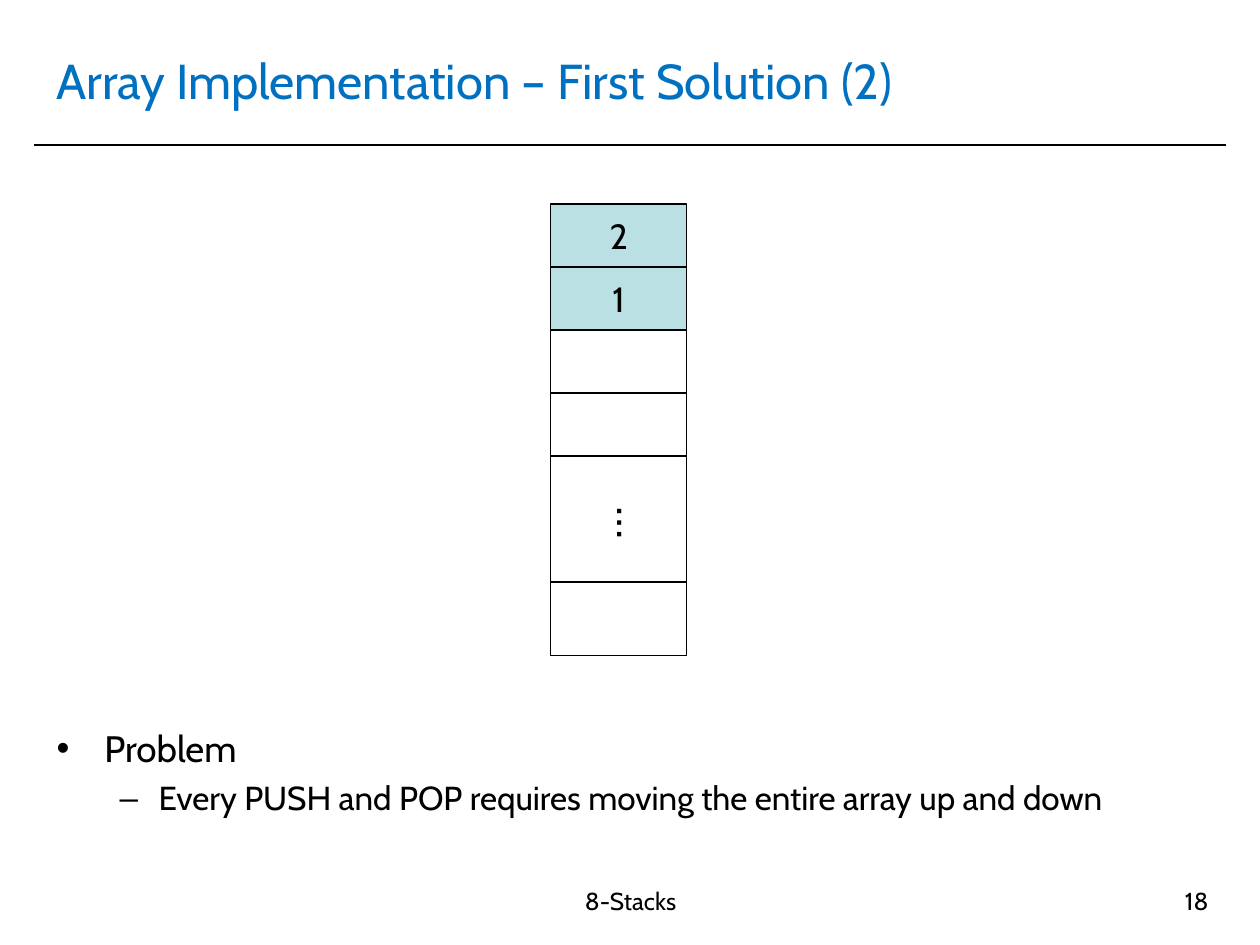
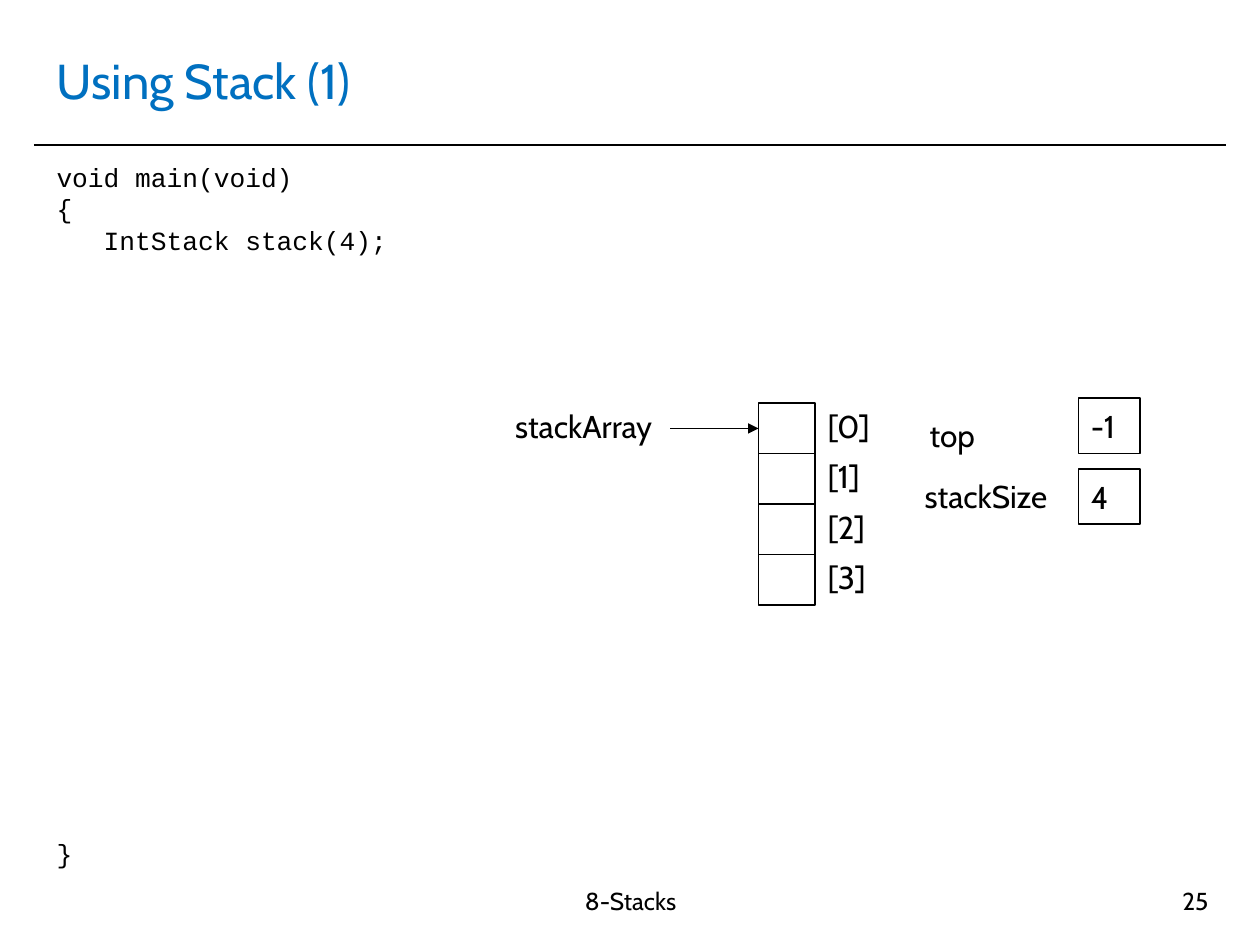
from pptx import Presentation
from pptx.dml.color import RGBColor
from pptx.enum.shapes import MSO_CONNECTOR as Conn, MSO_SHAPE as Shape
from pptx.enum.text import MSO_ANCHOR as Anchor, PP_ALIGN as Align
from pptx.oxml.ns import qn
from pptx.util import Inches, Pt
from lxml.etree import SubElement

SANS, MONO = "Cabin", "Courier New"
BLACK, WHITE, BLUE, TEAL = "000000", "FFFFFF", "0070C0", "BBE0E3"
FOOT = "8-Stacks"

HEADS = [("Array Implementation – First Solution (2)", "18"), ("Using Stack (1)", "25")]
CELLS = [("2", 0.5, TEAL), ("1", 0.5, TEAL), ("", 0.5, WHITE),
         ("", 0.5, None), ("", 1, None), ("", 0.58, None)]
POINTS = [("Problem", 21, "•", 0.38, 0.38),
          ("Every PUSH and POP requires moving the entire array up and down",
           19, "–", 0.81, 0.31)]
CODE = ["void main(void)", "{", "   IntStack stack(4);"]
SLOTS = ["[0]", "[1]", "[2]", "[3]"]
NAMES = [("stackArray", 3.99, 3.18, 1.5), ("top", 7.28, 3.25, 0.76),
         ("stackSize", 7.24, 3.74, 1.49)]
VALUES = ["-1", "4"]


def color(code):
    return RGBColor.from_string(code)


def write(para, text, size, font=SANS, ink=BLACK, align=Align.LEFT):
    para.alignment = align
    run = para.add_run()
    run.text = text
    run.font.size = Pt(size)
    run.font.name = font
    run.font.color.rgb = color(ink)


def box(slide, x, y, w, h):
    shape = slide.shapes.add_textbox(*map(Inches, (x, y, w, h)))
    shape.text_frame.word_wrap = True
    return shape


def label(slide, text, x, y, w, h, size=18, align=Align.LEFT):
    shape = box(slide, x, y, w, h)
    write(shape.text_frame.paragraphs[0], text, size, align=align)
    return shape


def rect(slide, x, y, w, h, fill=None, width=1, text="", size=18, align=Align.LEFT):
    shape = slide.shapes.add_shape(Shape.RECTANGLE, *map(Inches, (x, y, w, h)))
    shape.shadow.inherit = False
    if fill:
        shape.fill.solid()
        shape.fill.fore_color.rgb = color(fill)
    else:
        shape.fill.background()
    shape.line.color.rgb = color(BLACK)
    shape.line.width = Pt(width)
    if text:
        frame = shape.text_frame
        frame.word_wrap = False
        frame.vertical_anchor = Anchor.MIDDLE
        write(frame.paragraphs[0], text, size, align=align)


def line(slide, x, y, end, arrow=False):
    link = slide.shapes.add_connector(Conn.STRAIGHT, *map(Inches, (x, y, end, y)))
    link.line.color.rgb = color(BLACK)
    link.line.width = Pt(1)
    if arrow:
        SubElement(link.line._get_or_add_ln(), qn("a:tailEnd"), type="triangle")
    SubElement(link._element.spPr, qn("a:effectLst"))


def bullet(para, mark, left, hang):
    props = para._p.get_or_add_pPr()
    props.set("marL", str(Inches(left)))
    props.set("indent", str(-Inches(hang)))
    SubElement(props, qn("a:buFont"), typeface="Arial")
    SubElement(props, qn("a:buChar"), char=mark)


def start(deck, head, page):
    slide = deck.slides.add_slide(deck.slide_layouts[5])
    line(slide, 0.27, 1.15, 9.73)
    title = slide.shapes.title
    title.left, title.top, title.width, title.height = map(Inches, (0.35, 0.21, 9.29, 0.85))
    title.text_frame.vertical_anchor = Anchor.MIDDLE
    write(title.text_frame.paragraphs[0], head, 28, ink=BLUE)
    label(slide, FOOT, 3.35, 6.98, 3.31, 0.52, 14, Align.CENTER)
    label(slide, page, 7.36, 6.98, 2.33, 0.52, 14, Align.RIGHT)
    return slide


def code(slide, rows, y, h):
    frame = box(slide, 0.35, y, 9.29, h).text_frame
    for i, row in enumerate(rows):
        para = frame.add_paragraph() if i else frame.paragraphs[0]
        para.line_spacing = Pt(18)
        write(para, row, 15, MONO)


def array(slide):
    y = 1.62
    for text, high, fill in CELLS:
        rect(slide, 4.37, y, 1.08, high, fill, 0.75, text, 20, Align.CENTER)
        y += high
    dots = label(slide, "…", 4.58, 3.87, 0.94, 0.57, 28, Align.CENTER)
    dots.rotation = 90
    frame = box(slide, 0.35, 5.71, 9.29, 1.1).text_frame
    for i, (text, size, mark, left, hang) in enumerate(POINTS):
        para = frame.add_paragraph() if i else frame.paragraphs[0]
        bullet(para, mark, left, hang)
        if i:
            para.space_before = Pt(4.6)
        write(para, text, size)


def stack(slide):
    code(slide, CODE, 1.23, 0.9)
    code(slide, ["}"], 6.6, 0.4)
    left, right, top, step = 6.02, 6.47, 3.2, 0.4
    rect(slide, left, top, right - left, step * len(SLOTS))
    for i, text in enumerate(SLOTS):
        if i:
            line(slide, left, top + i * step, right)
        label(slide, text, right, top - 0.02 + i * step, 0.71, 0.4)
    for text, x, y, w in NAMES:
        label(slide, text, x, y, w, 0.4)
    line(slide, 5.32, top + step / 2, left, arrow=True)
    for i, text in enumerate(VALUES):
        rect(slide, 8.56, 3.16 + i * 0.56, 0.49, 0.44, text=text)


def main():
    deck = Presentation()
    deck.slide_width, deck.slide_height = Inches(10), Inches(7.5)
    for (head, page), draw in zip(HEADS, (array, stack)):
        draw(start(deck, head, page))
    deck.save("out.pptx")


if __name__ == "__main__":
    main()
